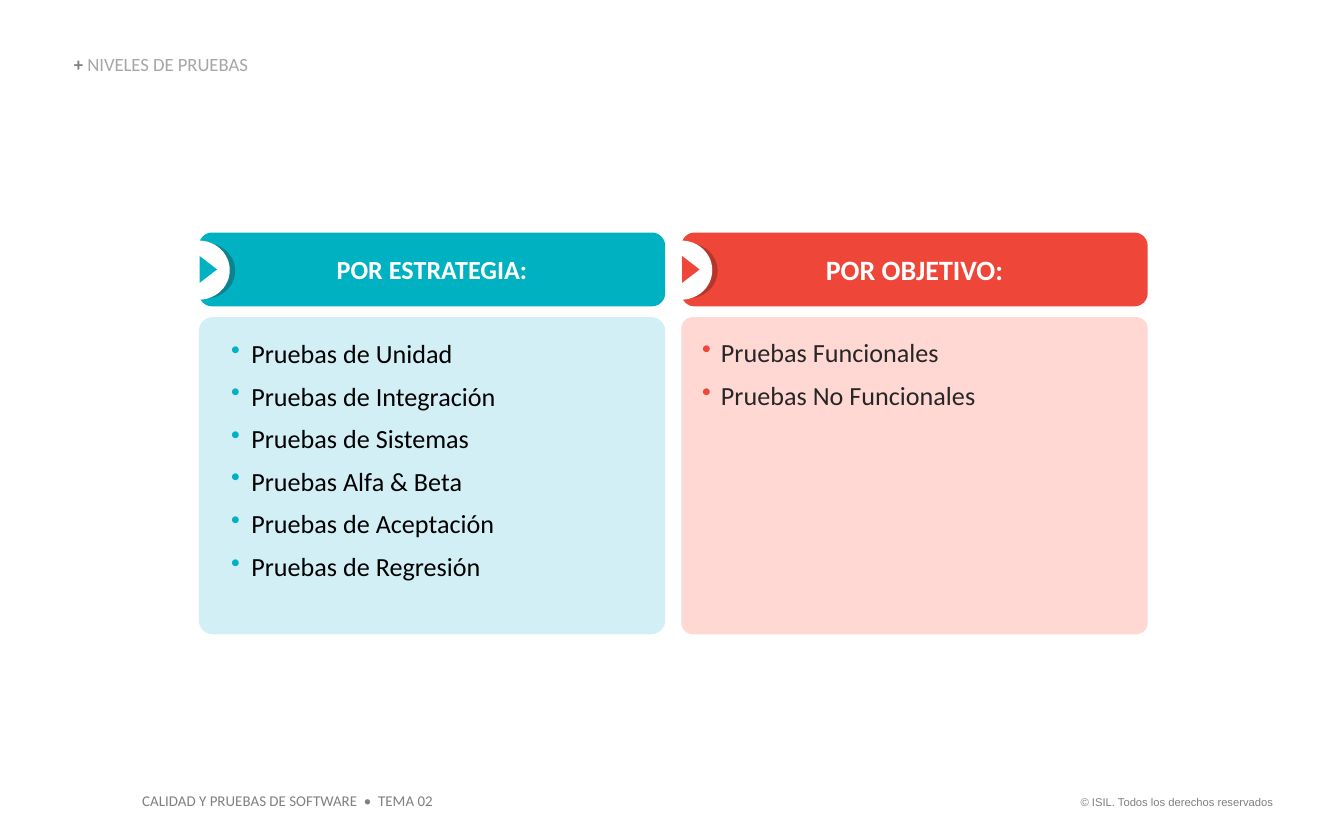
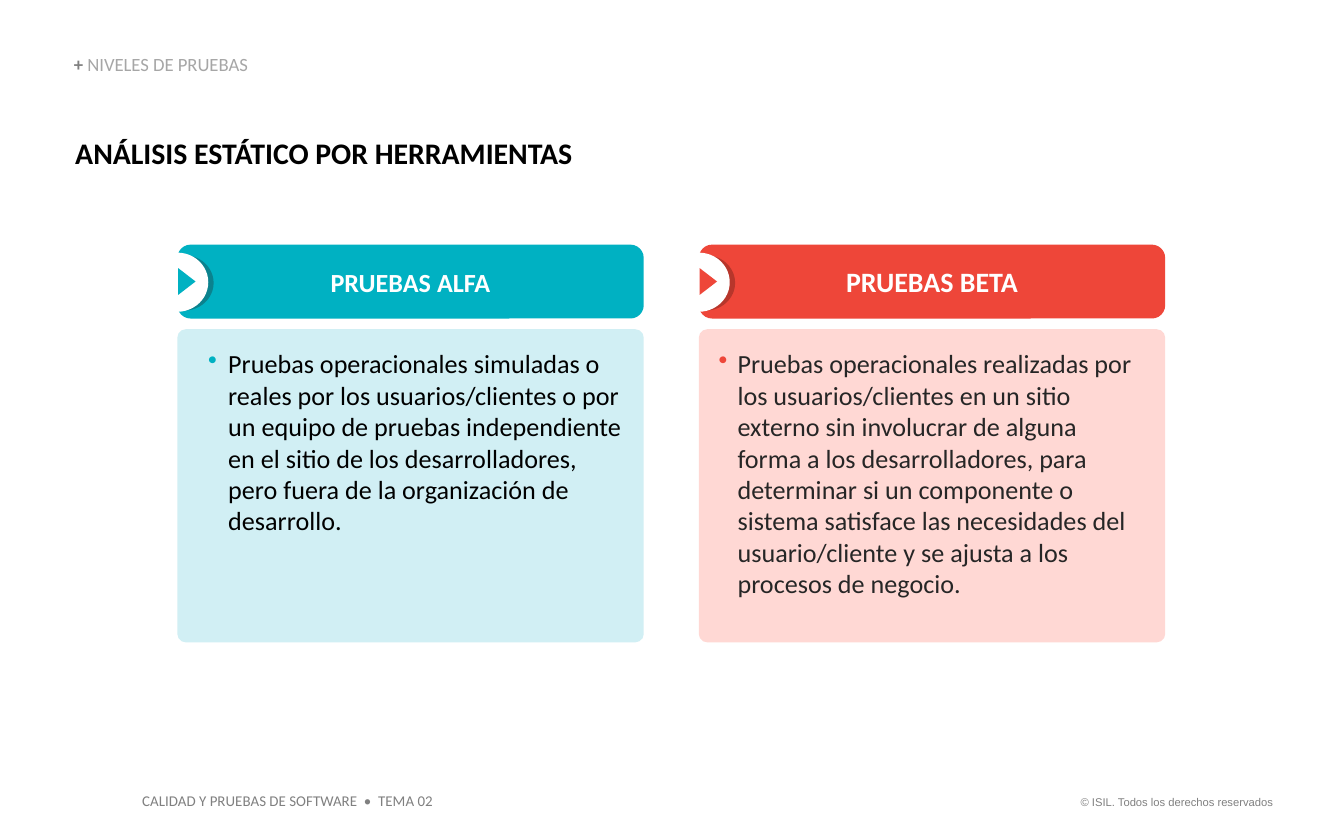
from dataclasses import dataclass

from lxml.etree import SubElement
from pptx import Presentation
from pptx.dml.color import RGBColor
from pptx.enum.shapes import MSO_SHAPE
from pptx.enum.text import MSO_ANCHOR, MSO_AUTO_SIZE, PP_ALIGN
from pptx.oxml.ns import qn
from pptx.util import Emu, Pt

PX = 9144
FONT = "Calibri"
BLACK = RGBColor(0x00, 0x00, 0x00)
CHARCOAL = RGBColor(0x26, 0x26, 0x26)
GRAY = RGBColor(0x80, 0x80, 0x80)
SILVER = RGBColor(0xA6, 0xA6, 0xA6)
WHITE = RGBColor(0xFF, 0xFF, 0xFF)
TEAL = RGBColor(0x00, 0xB1, 0xC2)
TEAL_DARK = RGBColor(0x0B, 0x82, 0x8E)
TEAL_LIGHT = RGBColor(0xD1, 0xEF, 0xF4)
RED = RGBColor(0xEE, 0x46, 0x39)
RED_DARK = RGBColor(0xB7, 0x36, 0x2B)
RED_LIGHT = RGBColor(0xFF, 0xD8, 0xD4)
CARD_W = 347
HEADER_H = 55
BODY_DY = 63


@dataclass
class CardStyle:
    main: RGBColor
    dark: RGBColor
    light: RGBColor
    text: RGBColor
    header_size: int
    indent: int
    hanging: int


TEAL_CARD = CardStyle(TEAL, TEAL_DARK, TEAL_LIGHT, BLACK, 14, 24, 15)
RED_CARD = CardStyle(RED, RED_DARK, RED_LIGHT, CHARCOAL, 15, 15, 14)


def px(*values):
    return [Emu(v * PX) for v in values]


def style_font(item, size, color, bold=False, name=FONT):
    item.font.name = name
    item.font.size = Pt(size)
    item.font.bold = bold
    item.font.color.rgb = color


def set_margins(tf, left, top, right, bottom):
    tf.margin_left, tf.margin_top, tf.margin_right, tf.margin_bottom = px(
        left, top, right, bottom)


def add_filled(shapes, kind, box, color, radius=None):
    sp = shapes.add_shape(kind, *px(*box))
    sp.shadow.inherit = False
    sp.fill.solid()
    sp.fill.fore_color.rgb = color
    sp.line.fill.background()
    if radius is not None:
        sp.adjustments[0] = radius
    return sp


def add_text(s, box, text, size, color, bold=False, name=FONT,
             align=PP_ALIGN.LEFT, wrap=False):
    tf = s.shapes.add_textbox(*px(*box)).text_frame
    tf.word_wrap = wrap
    p = tf.paragraphs[0]
    p.text = text
    p.alignment = align
    style_font(p.runs[0], size, color, bold, name)
    return tf


def add_bullet(p, style):
    pPr = p._p.get_or_add_pPr()
    pPr.set("marL", str(style.indent * PX))
    pPr.set("indent", str(-style.hanging * PX))
    bu_color = SubElement(pPr, qn("a:buClr"))
    SubElement(bu_color, qn("a:srgbClr")).set("val", str(style.main))
    SubElement(pPr, qn("a:buChar")).set("char", "•")


def add_header(s, x, y, text, style):
    sp = add_filled(s.shapes, MSO_SHAPE.ROUNDED_RECTANGLE,
                    (x, y, CARD_W, HEADER_H), style.main, 0.18)
    tf = sp.text_frame
    tf.vertical_anchor = MSO_ANCHOR.MIDDLE
    p = tf.paragraphs[0]
    p.text = text
    p.alignment = PP_ALIGN.CENTER
    style_font(p.runs[0], style.header_size, WHITE, True)


def add_body(s, x, y, h, items, style, radius):
    sp = add_filled(s.shapes, MSO_SHAPE.ROUNDED_RECTANGLE,
                    (x, y, CARD_W, h), style.light, radius)
    tf = sp.text_frame
    tf.word_wrap = True
    tf.vertical_anchor = MSO_ANCHOR.TOP
    set_margins(tf, 12, 12, 12, 5)
    tf.text = "\n".join(items)
    for p in tf.paragraphs:
        p.alignment = PP_ALIGN.LEFT
        p.space_after = Pt(6)
        add_bullet(p, style)
        style_font(p.runs[0], 14, style.text)


def add_badge(s, x, y, style):
    shapes = s.shapes.add_group_shape().shapes
    add_filled(shapes, MSO_SHAPE.OVAL, (x - 16, y + 8, 43, 41), style.dark)
    add_filled(shapes, MSO_SHAPE.OVAL, (x - 23, y + 6, 46, 44), WHITE)
    arrow = add_filled(shapes, MSO_SHAPE.ISOSCELES_TRIANGLE,
                       (x - 3, y + 21, 20, 13), style.main)
    arrow.rotation = 90


def add_card(s, x, y, body_h, header, items, style, radius):
    add_header(s, x, y, header, style)
    add_body(s, x, y + BODY_DY, body_h, items, style, radius)
    add_badge(s, x, y, style)


def set_title(s, text):
    sp = s.shapes.title
    sp.left, sp.top, sp.width, sp.height = px(55, 41, 361, 15)
    tf = sp.text_frame
    tf.auto_size = MSO_AUTO_SIZE.NONE
    tf.word_wrap = True
    tf.vertical_anchor = MSO_ANCHOR.BOTTOM
    set_margins(tf, 0, 0, 0, 0)
    p = tf.paragraphs[0]
    p.text = "+ "
    p.alignment = PP_ALIGN.LEFT
    p.line_spacing = 0.9
    style_font(p.runs[0], 10, GRAY, True)
    r = p.add_run()
    r.text = text
    style_font(r, 10, SILVER)


def add_slide(prs):
    s = prs.slides.add_slide(prs.slide_layouts[5])
    add_text(s, (788, 587, 169, 20), "© ISIL. Todos los derechos reservados",
             6, GRAY, name="Arial", align=PP_ALIGN.RIGHT)
    add_text(s, (96, 584, 237, 24),
             "CALIDAD Y PRUEBAS DE SOFTWARE  •  TEMA 02", 8, GRAY)
    set_title(s, "NIVELES DE PRUEBAS")
    return s


def add_levels_slide(prs):
    s = add_slide(prs)
    add_card(s, 507, 173, 236, "POR OBJETIVO:",
             ["Pruebas Funcionales", "Pruebas No Funcionales"],
             RED_CARD, 0.036)
    add_card(s, 148, 173, 236, "POR ESTRATEGIA:",
             ["Pruebas de Unidad", "Pruebas de Integración",
              "Pruebas de Sistemas", "Pruebas Alfa & Beta",
              "Pruebas de Aceptación", "Pruebas de Regresión"],
             TEAL_CARD, 0.044)


def add_alpha_beta_slide(prs):
    s = add_slide(prs)
    tf = add_text(s, (56, 100, 395, 27), "ANÁLISIS ESTÁTICO POR HERRAMIENTAS",
                  16, BLACK, bold=True, wrap=True)
    set_margins(tf, 0, 0, 0, 0)
    add_card(s, 132, 182, 233, "PRUEBAS ALFA",
             ["Pruebas operacionales simuladas o reales por los "
              "usuarios/clientes o por un equipo de pruebas independiente "
              "en el sitio de los desarrolladores, pero fuera de la "
              "organización de desarrollo."],
             TEAL_CARD, 0.027)
    add_card(s, 520, 182, 233, "PRUEBAS BETA",
             ["Pruebas operacionales realizadas por los usuarios/clientes en "
              "un sitio externo sin involucrar de alguna forma a los "
              "desarrolladores, para determinar si un componente o sistema "
              "satisface las necesidades del usuario/cliente y se ajusta a "
              "los procesos de negocio."],
             RED_CARD, 0.027)


def main():
    prs = Presentation()
    prs.slide_width, prs.slide_height = px(1000, 625)
    add_levels_slide(prs)
    add_alpha_beta_slide(prs)
    prs.save("out.pptx")


if __name__ == "__main__":
    main()
